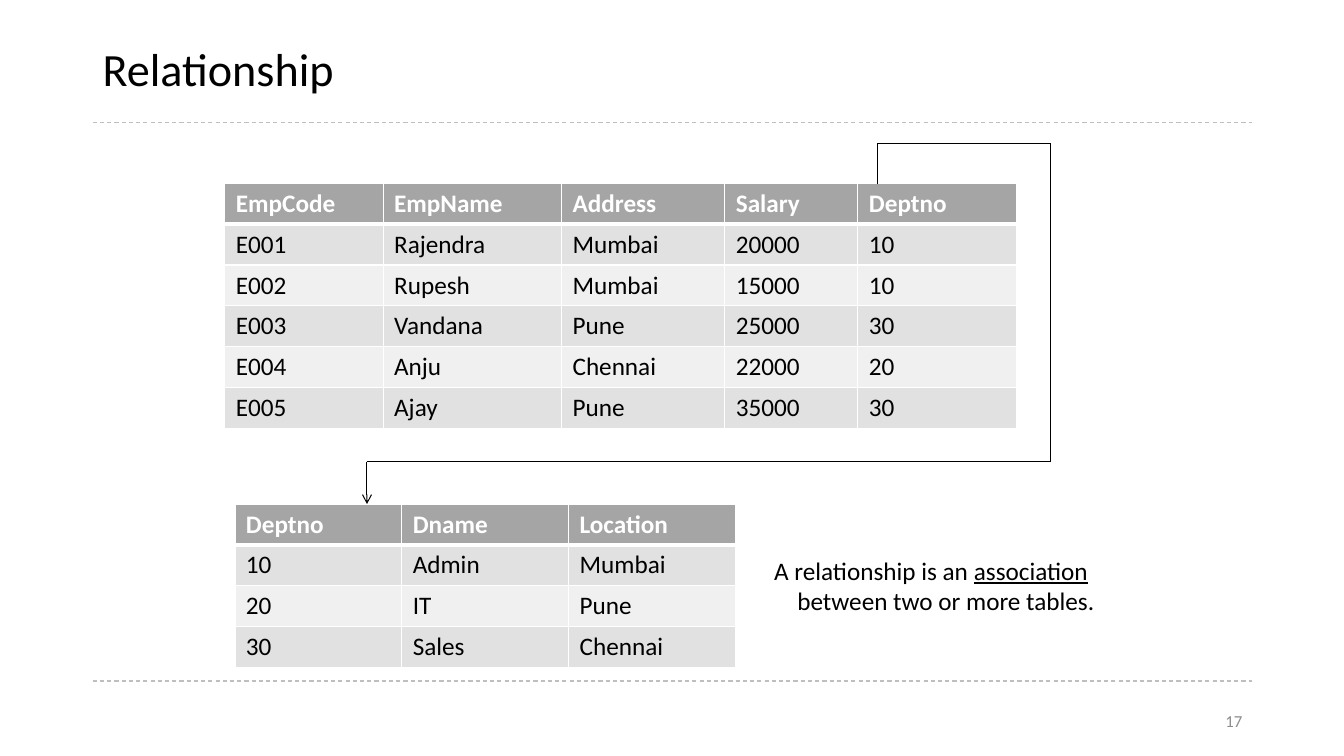
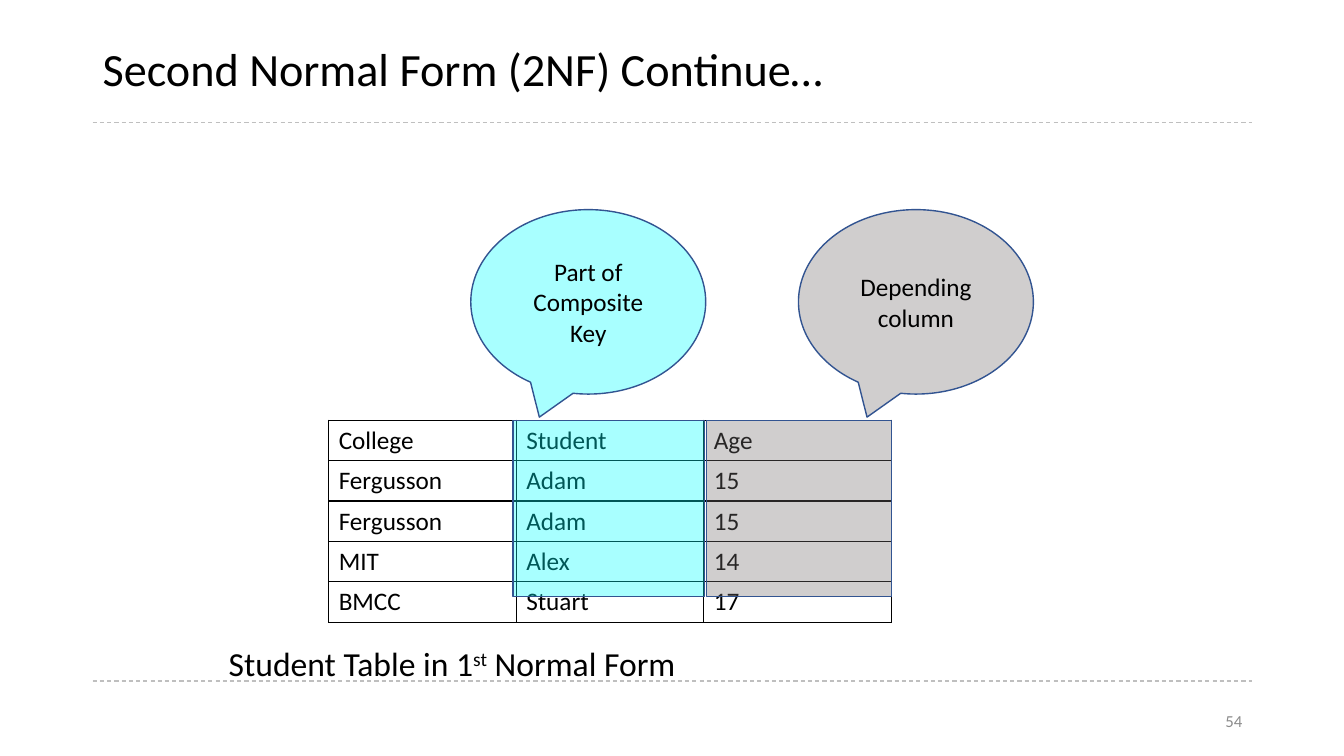
"""Build two database slides: table relationship and second normal form."""
from itertools import pairwise

from lxml import etree
from pptx import Presentation
from pptx.dml.color import RGBColor
from pptx.enum import dml, shapes, text
from pptx.oxml import ns
from pptx.util import Inches, Pt

FONT = "Calibri"
BLACK = RGBColor(0x00, 0x00, 0x00)
WHITE = RGBColor(0xFF, 0xFF, 0xFF)
RULE = RGBColor(0xBF, 0xBF, 0xBF)
NUMBER = RGBColor(0x8C, 0x8C, 0x8C)
HEADER = RGBColor(0xA5, 0xA5, 0xA5)
BANDS = (RGBColor(0xF0, 0xF0, 0xF0), RGBColor(0xE1, 0xE1, 0xE1))
CYAN = RGBColor(0x00, 0xFF, 0xFF)
GRAY = RGBColor(0x76, 0x71, 0x71)
BLUE = RGBColor(0x32, 0x54, 0x91)

EMPLOYEES = [
    ("EmpCode", "EmpName", "Address", "Salary", "Deptno"),
    ("E001", "Rajendra", "Mumbai", "20000", "10"),
    ("E002", "Rupesh", "Mumbai", "15000", "10"),
    ("E003", "Vandana", "Pune", "25000", "30"),
    ("E004", "Anju", "Chennai", "22000", "20"),
    ("E005", "Ajay", "Pune", "35000", "30"),
]
DEPARTMENTS = [
    ("Deptno", "Dname", "Location"),
    ("10", "Admin", "Mumbai"),
    ("20", "IT", "Pune"),
    ("30", "Sales", "Chennai"),
]
STUDENTS = [
    ("College", "Student", "Age"),
    ("Fergusson", "Adam", "15"),
    ("Fergusson", "Adam", "15"),
    ("MIT", "Alex", "14"),
    ("BMCC", "Stuart", "17"),
]
KEY_PATH = [(8.7, 1.83), (8.7, 1.42), (10.42, 1.42), (10.42, 4.58), (3.64, 4.58), (3.64, 5)]
HIGHLIGHTS = [
    (CYAN, 5.09, 1.9, 4.67, "Part of Composite Key"),
    (GRAY, 7.01, 1.83, 7.92, "Depending column"),
]


def add_run(p, words, size=18, color=BLACK, bold=False):
    r = p.add_run()
    r.text = words
    r.font.name, r.font.size, r.font.bold = FONT, Pt(size), bold
    r.font.color.rgb = color
    return r


def add_box(s, box, anchor=text.MSO_ANCHOR.TOP):
    tf = s.shapes.add_textbox(*map(Inches, box)).text_frame
    tf.word_wrap = True
    tf.vertical_anchor = anchor
    return tf.paragraphs[0]


def add_line(s, start, end, color=BLACK):
    line = s.shapes.add_connector(shapes.MSO_CONNECTOR.STRAIGHT, *map(Inches, start + end))
    line.line.color.rgb = color
    line.line.width = Pt(0.75)
    etree.SubElement(line._element.spPr, ns.qn("a:effectLst"))
    return line


def set_borders(cell, color, widths):
    tcPr = cell._tc.get_or_add_tcPr()
    for side, width in zip("LRTB", widths):
        ln = etree.SubElement(tcPr, ns.qn(f"a:ln{side}"), w=str(Pt(width)))
        fill = etree.SubElement(ln, ns.qn("a:solidFill"))
        etree.SubElement(fill, ns.qn("a:srgbClr"), val=str(color))


def add_table(s, rows, left, top, widths, row_height, banded=True):
    size = (sum(widths), row_height * len(rows))
    table = s.shapes.add_table(len(rows), len(widths), *map(Inches, (left, top) + size)).table
    table.first_row = banded
    table.horz_banding = banded
    for column, width in zip(table.columns, widths):
        column.width = Inches(width)
    for i, row in enumerate(rows):
        table.rows[i].height = Inches(row_height)
        header = banded and i == 0
        for j, words in enumerate(row):
            cell = table.cell(i, j)
            if banded:
                set_borders(cell, WHITE, (1, 1, 3 if i == 1 else 1, 3 if header else 1))
                cell.fill.solid()
                cell.fill.fore_color.rgb = HEADER if header else BANDS[i % 2]
                cell.margin_left = cell.margin_right = Inches(0.11)
            else:
                set_borders(cell, BLACK, (1, 1, 1, 1))
                cell.fill.background()
                cell.vertical_anchor = text.MSO_ANCHOR.MIDDLE
            add_run(cell.text_frame.paragraphs[0], words,
                    color=WHITE if header else BLACK, bold=header)


def add_tinted(s, kind, box, color):
    sp = s.shapes.add_shape(kind, *map(Inches, box))
    sp.shadow.inherit = False
    sp.fill.solid()
    sp.fill.fore_color.rgb = color
    clr = sp._element.spPr.find(ns.qn("a:solidFill")).find(ns.qn("a:srgbClr"))
    etree.SubElement(clr, ns.qn("a:alpha"), val="34000")
    sp.line.color.rgb = BLUE
    sp.line.width = Pt(1)
    return sp


def add_slide(prs, title, number):
    s = prs.slides.add_slide(prs.slide_layouts[6])
    for y in (6.75, 1.22, 6.76):
        add_line(s, (0.92, y), (12.42, y), RULE).line.dash_style = dml.MSO_LINE.DASH
    p = add_box(s, (0.92, 0.21, 11.5, 1), text.MSO_ANCHOR.MIDDLE)
    p.line_spacing = 0.9
    add_run(p, title, 33)
    p = add_box(s, (9.42, 6.95, 3, 0.4), text.MSO_ANCHOR.MIDDLE)
    p.alignment = text.PP_ALIGN.RIGHT
    add_run(p, number, 12, NUMBER)
    return s


def relationship_slide(prs):
    s = add_slide(prs, "Relationship", "17")
    add_table(s, EMPLOYEES, 2.23, 1.82, (1.57, 1.77, 1.62, 1.32, 1.57), 0.405)
    add_table(s, DEPARTMENTS, 2.33, 5, (1.655,) * 3, 0.405)
    for start, end in pairwise(KEY_PATH):
        line = add_line(s, start, end)
    ln = line.line._get_or_add_ln()
    etree.SubElement(ln, ns.qn("a:tailEnd"), type="arrow")
    p = add_box(s, (7.58, 5.46, 3.92, 0.71))
    pPr = p._p.get_or_add_pPr()
    pPr.set("marL", str(Inches(0.23)))
    pPr.set("indent", str(Inches(-0.23)))
    add_run(p, "A relationship is an ")
    add_run(p, "association").font.underline = True
    p.add_line_break()
    add_run(p, "between two or more tables.")


def normal_form_slide(prs):
    s = add_slide(prs, "Second Normal Form (2NF) Continue…", "54")
    add_table(s, STUDENTS, 3.26, 4.17, (1.86,) * 3, 0.35, banded=False)
    p = add_box(s, (2.17, 6.33, 4.89, 0.5))
    add_run(p, "Student Table in 1", 24)
    add_run(p, "st", 24)._r.get_or_add_rPr().set("baseline", "30000")
    add_run(p, " Normal Form", 24)
    for color, left, width, callout_left, words in HIGHLIGHTS:
        add_tinted(s, shapes.MSO_SHAPE.RECTANGLE, (left, 4.17, width, 1.75), color)
        callout = add_tinted(s, shapes.MSO_SHAPE.OVAL_CALLOUT,
                             (callout_left, 2.08, 2.33, 1.83), color)
        tf = callout.text_frame
        tf.word_wrap = True
        tf.vertical_anchor = text.MSO_ANCHOR.MIDDLE
        p = tf.paragraphs[0]
        p.alignment = text.PP_ALIGN.CENTER
        add_run(p, words)


def main():
    prs = Presentation()
    prs.slide_width, prs.slide_height = Inches(13.33), Inches(7.5)
    relationship_slide(prs)
    normal_form_slide(prs)
    prs.save("out.pptx")


if __name__ == "__main__":
    main()
